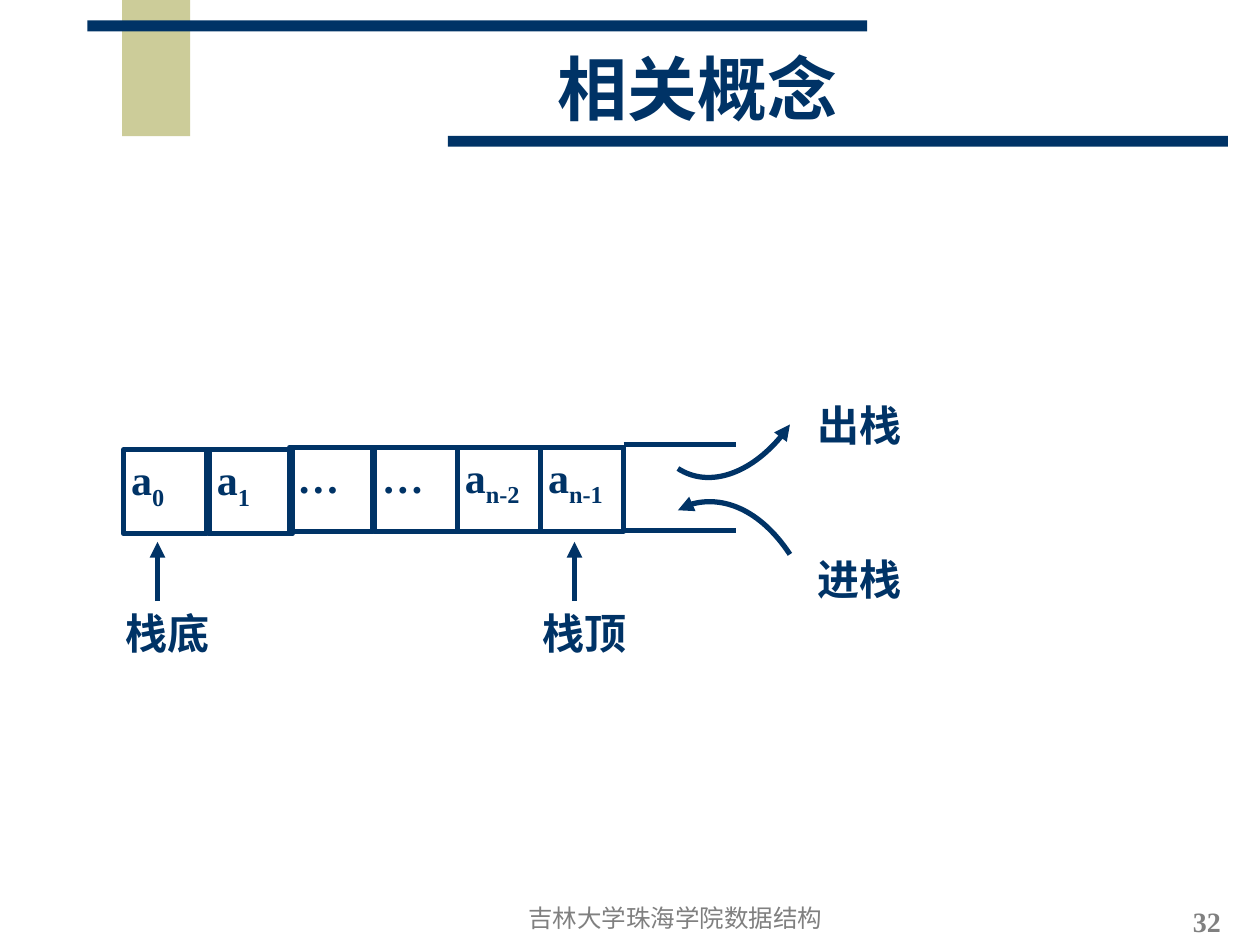
"""Build the slide on stack concepts: a row of cells with its push and pop ends."""
from lxml.etree import SubElement
from pptx import Presentation
from pptx.dml.color import RGBColor
from pptx.enum.shapes import MSO_CONNECTOR, MSO_SHAPE
from pptx.enum.text import MSO_ANCHOR as Anchor, MSO_AUTO_SIZE as AutoSize, PP_ALIGN as Align
from pptx.oxml.ns import qn
from pptx.util import Pt

NAVY = RGBColor(0x00, 0x33, 0x66)
KHAKI = RGBColor(0xCC, 0xCC, 0x99)
GRAY = RGBColor(0x80, 0x80, 0x80)

LABEL = {"name": "Times New Roman", "size": Pt(24), "bold": True}
TITLE = LABEL | {"size": Pt(40)}
NUMBER = LABEL | {"size": Pt(16)}
FOOTER = LABEL | {"size": Pt(14), "bold": False}


def write(box, text, subscript="", style=LABEL, color=NAVY, align=Align.JUSTIFY, anchor=Anchor.TOP):
    frame = box.text_frame
    frame.auto_size = AutoSize.NONE
    frame.word_wrap = True
    frame.vertical_anchor = anchor
    para = frame.paragraphs[0]
    para.alignment = align
    for part in filter(None, (text, subscript)):
        span = para.add_run()
        span.text = part
        for key, value in style.items():
            setattr(span.font, key, value)
        span.font.color.rgb = color
    if subscript:
        span.font._element.set("baseline", "-25000")


def outline(item, arrow_end=None):
    item.line.color.rgb = NAVY
    item.line.width = Pt(3)
    if arrow_end:
        SubElement(item.line._get_or_add_ln(), qn(f"a:{arrow_end}"), type="triangle")
    SubElement(item._element.spPr, qn("a:effectLst"))


deck = Presentation()
deck.slide_width, deck.slide_height = Pt(720), Pt(540)
page = deck.slides.add_slide(deck.slide_layouts[5])
shapes = page.shapes

bars = [
    (69.84, 0, 38.88, 77.76, KHAKI),
    (49.9, 11.7, 445.7, 6.3, NAVY),
    (256, 77.6, 445.7, 6.3, NAVY),
]
for left, top, width, height, color in bars:
    bar = shapes.add_shape(MSO_SHAPE.RECTANGLE, Pt(left), Pt(top), Pt(width), Pt(height))
    bar.fill.solid()
    bar.fill.fore_color.rgb = color
    bar.line.fill.background()
    bar.shadow.inherit = False

title = shapes.title
title.left, title.top, title.width, title.height = Pt(108), Pt(18), Pt(581), Pt(72)
write(title, "相关概念", style=TITLE, align=Align.CENTER, anchor=Anchor.MIDDLE)
title.text_frame.paragraphs[0].line_spacing = 0.85

CELL, ROW_TOP, ROW_BOTTOM = 47.5, 255.6, 303.1
cells = [
    (70.6, 257, "a", "0"),
    (119.5, 257, "a", "1"),
    (165.6, ROW_TOP, "…", ""),
    (213.8, ROW_TOP, "…", ""),
    (261.3, ROW_TOP, "a", "n-2"),
    (308.8, ROW_TOP, "a", "n-1"),
]
for left, top, text, subscript in cells:
    cell = shapes.add_shape(MSO_SHAPE.RECTANGLE, Pt(left), Pt(top), Pt(CELL), Pt(48))
    cell.fill.background()
    outline(cell)
    frame = cell.text_frame
    frame.margin_left = frame.margin_right = Pt(4.4)
    frame.margin_top = frame.margin_bottom = Pt(2.2)
    write(cell, text, subscript)

dividers = [(118.8 + CELL * i, ROW_TOP, 118.8 + CELL * i, ROW_BOTTOM, None) for i in range(6)]
open_end = [(356.4, y, 420.5, y, None) for y in (254.2, ROW_BOTTOM)]
pointers = [(x, 343.5, x, 309.6, "tailEnd") for x in (90, 328.3)]
for x1, y1, x2, y2, arrow_end in dividers + open_end + pointers:
    line = shapes.add_connector(MSO_CONNECTOR.STRAIGHT, Pt(x1), Pt(y1), Pt(x2), Pt(y2))
    outline(line, arrow_end)

pop_curve = [(451.4, 242.6), (434.2, 268.6), (405.4, 279.4), (387.4, 267.8)]
push_curve = [(x, 559.4 - y) for x, y in pop_curve]
for points, arrow_end in ((pop_curve, "headEnd"), (push_curve, "tailEnd")):
    start, *others = [(Pt(x), Pt(y)) for x, y in points]
    builder = shapes.build_freeform(*start)
    builder.add_line_segments(others, close=False)
    curve = builder.convert_to_shape()
    curve.fill.background()
    outline(curve, arrow_end)
    outline_steps = curve._element.find(".//" + qn("a:path"))
    bezier = SubElement(outline_steps, qn("a:cubicBezTo"))
    for step in outline_steps.findall(qn("a:lnTo")):
        bezier.append(step[0])
        outline_steps.remove(step)

labels = [
    (460, 224.6, 75.6, "出栈"),
    (460, 312.5, 75.6, "进栈"),
    (64.8, 343.5, 62.6, "栈底"),
    (303.1, 343.5, 62.6, "栈顶"),
]
for left, top, width, text in labels:
    write(shapes.add_textbox(Pt(left), Pt(top), Pt(width), Pt(35)), text)

footer = shapes.add_textbox(Pt(293), Pt(500.4), Pt(186), Pt(36))
write(footer, "吉林大学珠海学院数据结构", style=FOOTER, color=GRAY, align=Align.CENTER, anchor=Anchor.BOTTOM)
number = shapes.add_textbox(Pt(674.6), Pt(513.4), Pt(45.4), Pt(26.6))
write(number, "32", style=NUMBER, color=GRAY, align=Align.LEFT)

deck.save("out.pptx")
